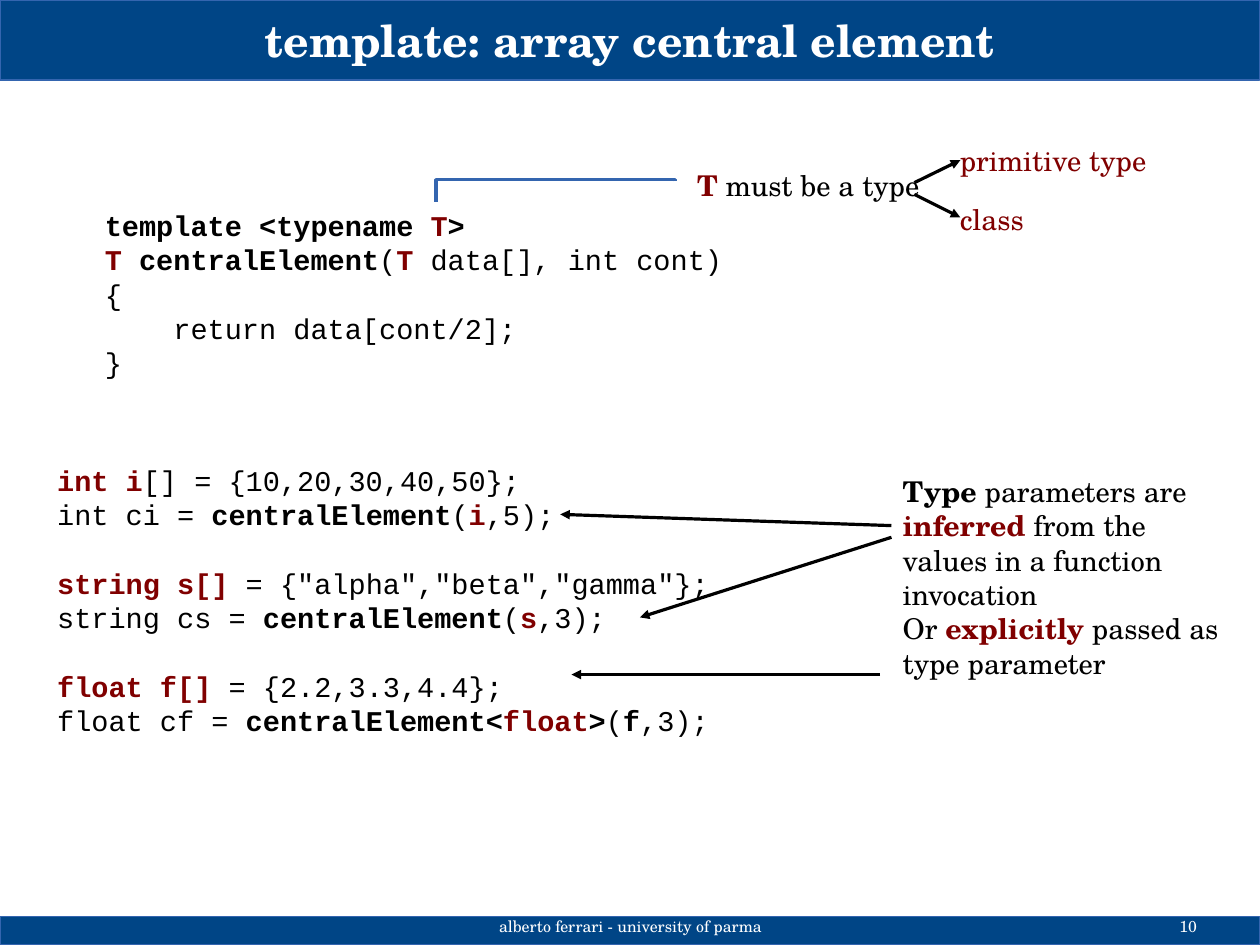
from lxml.etree import SubElement
from pptx import Presentation
from pptx.dml.color import RGBColor
from pptx.enum.shapes import MSO_CONNECTOR, MSO_SHAPE
from pptx.enum.text import MSO_ANCHOR, MSO_AUTO_SIZE, PP_ALIGN
from pptx.oxml.ns import qn
from pptx.util import Cm, Pt

CODE = "Courier New"
PROSE = "TeX Gyre Schola"
STYLES = {
    "plain": ("000000", False),
    "bold": ("000000", True),
    "key": ("800000", True),
    "red": ("800000", False),
    "white": ("FFFFFF", False),
    "title": ("FFFFFF", True),
}

HEADER = [
    [("template <typename ", "bold"), ("T", "key"), (">", "bold")],
    [("T ", "key"), ("centralElement", "bold"), ("(", "plain"),
     ("T", "key"), (" data[], int cont)", "plain")],
    [("{", "plain")],
    [("return data[cont/2];", "plain")],
    [("}", "plain")],
]
CALLS = [
    [("int i", "key"), ("[] = {10,20,30,40,50};", "plain")],
    [("int ci = ", "plain"), ("centralElement", "bold"), ("(", "plain"),
     ("i", "key"), (",5);", "plain")],
    [("string s[]", "key"), (' = {"alpha","beta","gamma"};', "plain")],
    [("string cs = ", "plain"), ("centralElement", "bold"), ("(", "plain"),
     ("s", "key"), (",3);", "plain")],
    [("float f[]", "key"), (" = {2.2,3.3,4.4};", "plain")],
    [("float cf = ", "plain"), ("centralElement<", "bold"), ("float", "key"),
     (">", "bold"), ("(", "plain"), ("f", "bold"), (",3);", "plain")],
]
NOTE = [
    [("Type", "bold"), (" parameters are ", "plain"), ("inferred", "key"),
     (" from the values in a function invocation", "plain")],
    [("Or ", "plain"), ("explicitly", "key"),
     (" passed as type parameter", "plain")],
]
ARROWS = [
    (20.32, 4.06, 21.34, 3.56),
    (20.32, 4.32, 21.34, 4.83),
    (19.81, 11.68, 12.45, 11.43),
    (19.81, 11.94, 14.22, 13.72),
    (19.56, 14.99, 12.7, 14.99),
]


def paint(target, color):
    """Give a fill or line format a solid colour."""
    target.solid()
    target.fore_color.rgb = RGBColor.from_string(color)


def write(frame, lines, font=PROSE, size=18, align=PP_ALIGN.LEFT):
    """Fill a text frame with lines of styled runs and return its paragraphs."""
    frame.word_wrap = True
    frame.auto_size = MSO_AUTO_SIZE.NONE
    for index, line in enumerate(lines):
        para = frame.add_paragraph() if index else frame.paragraphs[0]
        para.alignment = align
        para.font.name = font
        para.font.size = Pt(size)
        for text, style in line:
            color, bold = STYLES[style]
            run = para.add_run()
            run.text = text
            run.font.bold = bold
            run.font.color.rgb = RGBColor.from_string(color)
    return frame.paragraphs


def trim(frame):
    """Remove the inner margins of a text frame."""
    frame.margin_left = frame.margin_right = 0
    frame.margin_top = frame.margin_bottom = 0


def label(slide, box, lines, font=PROSE):
    """Add a text box and return its paragraphs."""
    shape = slide.shapes.add_textbox(*map(Cm, box))
    return write(shape.text_frame, lines, font)


def footer(slide, left, width, text, align):
    """Add a small white text on the bottom bar."""
    shape = slide.shapes.add_textbox(Cm(left), Cm(20.37), Cm(width), Cm(0.63))
    trim(shape.text_frame)
    write(shape.text_frame, [[(text, "white")]], size=10, align=align)


def bar(slide, top, height):
    """Add a blue bar across the slide."""
    shape = slide.shapes.add_shape(
        MSO_SHAPE.RECTANGLE, 0, Cm(top), Cm(28), Cm(height))
    shape.shadow.inherit = False
    paint(shape.fill, "004586")
    paint(shape.line.fill, "3465AF")
    shape.line.width = 0


def heading(slide, text):
    """Place and format the title above the bars."""
    title = slide.shapes.title
    title.left, title.top, title.width, title.height = 0, 0, Cm(28), Cm(1.78)
    frame = title.text_frame
    trim(frame)
    frame.vertical_anchor = MSO_ANCHOR.MIDDLE
    write(frame, [[(text, "title")]], size=28, align=PP_ALIGN.CENTER)
    slide.shapes._spTree.append(title._element)


def link(slide, kind, ends, color):
    """Add a hairline connector and return its shape properties."""
    line = slide.shapes.add_connector(kind, *map(Cm, ends))
    paint(line.line.fill, color)
    line.line.width = 0
    props = line._element.spPr
    SubElement(props, qn("a:effectLst"))
    return props


def arrow(slide, ends):
    """Add a straight arrow."""
    props = link(slide, MSO_CONNECTOR.STRAIGHT, ends, "000000")
    SubElement(props.find(qn("a:ln")), qn("a:tailEnd"), type="triangle")


def bend(slide, ends, adjust):
    """Add an elbow connector turned by a quarter."""
    props = link(slide, MSO_CONNECTOR.ELBOW, ends, "3465AF")
    props.find(qn("a:xfrm")).set("rot", "5400000")
    guides = props.find(qn("a:prstGeom")).find(qn("a:avLst"))
    SubElement(guides, qn("a:gd"), name="adj1", fmla=f"val {adjust}")


def main():
    """Build and save the slide."""
    deck = Presentation()
    deck.slide_width, deck.slide_height = Cm(28), Cm(21)
    slide = deck.slides.add_slide(deck.slide_layouts[5])
    bar(slide, 0, 1.78)
    bar(slide, 20.37, 0.63)
    heading(slide, "template: array central element")

    body = label(slide, (2.08, 4.5, 15.2, 4.48), HEADER, CODE)[3]
    body._p.get_or_add_pPr().set("marL", str(Pt(43.2)))
    label(slide, (15.24, 3.6, 5.6, 1.24),
          [[("T", "key"), (" must be a type", "plain")]])
    label(slide, (21.08, 3.05, 4.83, 1.78), [[("primitive type", "red")]])
    label(slide, (21.08, 4.37, 2.29, 1.19), [[("class", "red")]])
    bend(slide, (12.12, 1.6, 12.57, 6.91), -8200)

    calls = label(slide, (1.02, 10.16, 20.07, 7.37), CALLS, CODE)
    for para in calls[2::2]:
        para.space_before = Pt(21.6)
    label(slide, (19.81, 10.41, 7.62, 5.99), NOTE)
    for ends in ARROWS:
        arrow(slide, ends)

    footer(slide, 9.58, 8.86, "alberto ferrari - university of parma",
           PP_ALIGN.CENTER)
    footer(slide, 20.07, 6.53, "10", PP_ALIGN.RIGHT)
    deck.save("out.pptx")


if __name__ == "__main__":
    main()
